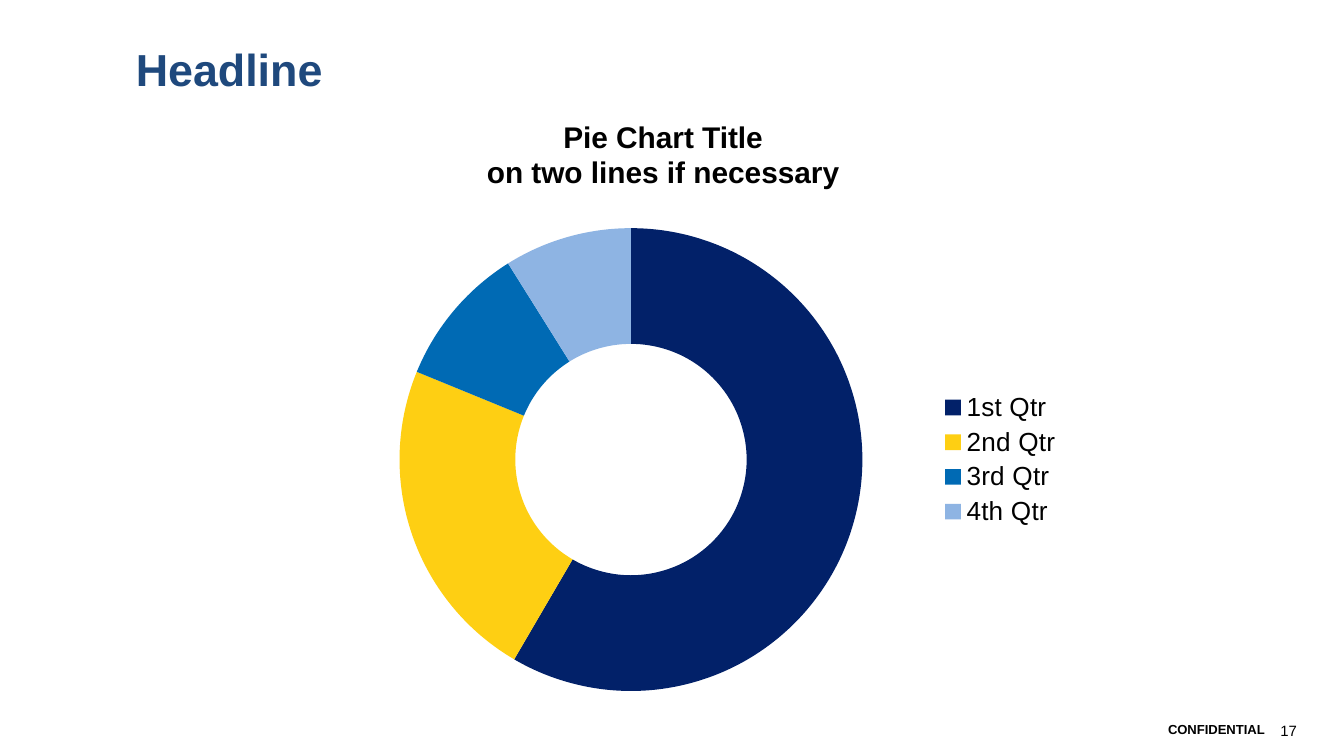
from pptx import Presentation
from pptx.chart.data import CategoryChartData
from pptx.dml.color import RGBColor
from pptx.enum.chart import XL_CHART_TYPE, XL_LEGEND_POSITION
from pptx.enum.text import MSO_ANCHOR, PP_ALIGN
from pptx.util import Inches, Pt

DOUGHNUT = XL_CHART_TYPE.DOUGHNUT
LEGEND_RIGHT = XL_LEGEND_POSITION.RIGHT
TOP, MIDDLE = MSO_ANCHOR.TOP, MSO_ANCHOR.MIDDLE
LEFT, CENTER, RIGHT = PP_ALIGN.LEFT, PP_ALIGN.CENTER, PP_ALIGN.RIGHT

FONT = "Arial"
BLACK = RGBColor(0x00, 0x00, 0x00)
HEADLINE_BLUE = RGBColor(0x1F, 0x49, 0x7D)
NAVY = RGBColor(0x02, 0x21, 0x69)
YELLOW = RGBColor(0xFE, 0xCF, 0x13)
BLUE = RGBColor(0x00, 0x6A, 0xB4)
LIGHT_BLUE = RGBColor(0x8E, 0xB4, 0xE3)

# Widescreen slide, 16:9
prs = Presentation()
prs.slide_width = Inches(10)
prs.slide_height = Inches(10 * 9 / 16)
s = prs.slides.add_slide(prs.slide_layouts[6])


def add_text(box, lines, size, bold=True, color=BLACK, align=LEFT, anchor=TOP, wrap=True):
    tf = s.shapes.add_textbox(*[Inches(v) for v in box]).text_frame
    tf.word_wrap = wrap
    tf.vertical_anchor = anchor
    tf.margin_left = tf.margin_right = Inches(0.09)
    tf.margin_top = tf.margin_bottom = Inches(0.04)
    for i, line in enumerate(lines):
        p = tf.add_paragraph() if i else tf.paragraphs[0]
        p.alignment = align
        r = p.add_run()
        r.text = line
        r.font.name, r.font.size, r.font.bold = FONT, Pt(size), bold
        r.font.color.rgb = color


# Footer
add_text((9.37, 5.33, 0.37, 0.18), ["17"], 8, bold=False, align=RIGHT)
add_text((6.58, 5.28, 2.92, 0.3), ["CONFIDENTIAL"], 7, align=RIGHT, anchor=MIDDLE)

# Headline and chart title
add_text((0.92, 0.27, 7.85, 0.46), ["Headline"], 24, color=HEADLINE_BLUE)
add_text((3.52, 0.84, 2.89, 0.62), ["Pie Chart Title ", "on two lines if necessary "],
         16, align=CENTER, wrap=False)

# Doughnut chart
data = CategoryChartData()
data.categories = ["1st Qtr", "2nd Qtr", "3rd Qtr", "4th Qtr"]
data.add_series("Series 1", [59, 23, 10, 9])
chart = s.shapes.add_chart(DOUGHNUT, Inches(2.42), Inches(1.56),
                           Inches(5.58), Inches(3.72), data).chart
chart.has_title = False
chart.font.name, chart.font.size = FONT, Pt(18)
chart.font.color.rgb = BLACK
chart.plots[0].vary_by_categories = True

for i, color in enumerate([NAVY, YELLOW, BLUE, LIGHT_BLUE]):
    point = chart.plots[0].series[0].points[i]
    point.format.fill.solid()
    point.format.fill.fore_color.rgb = color
    point.format.line.fill.background()

# Legend
chart.has_legend = True
chart.legend.position = LEGEND_RIGHT
chart.legend.include_in_layout = False
chart.legend.font.name, chart.legend.font.size = FONT, Pt(14)
chart.legend.font.color.rgb = BLACK

prs.save("out.pptx")
